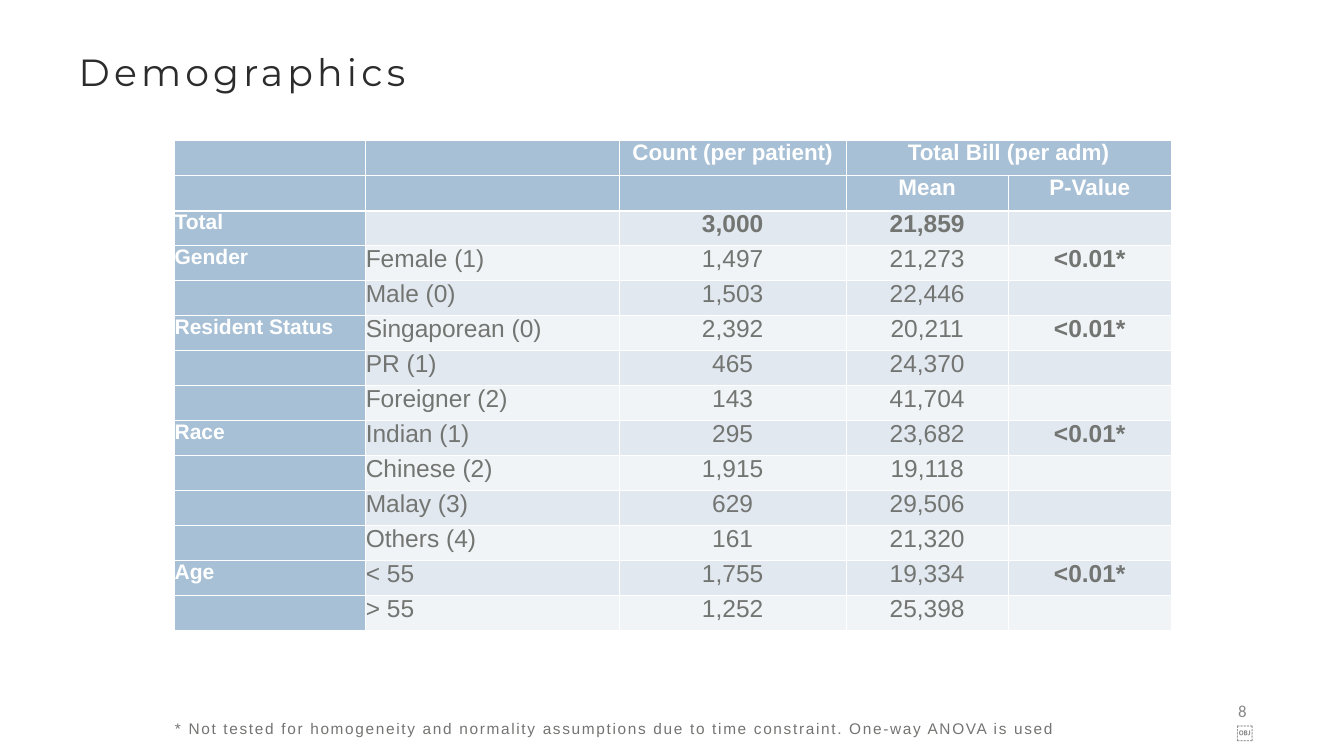
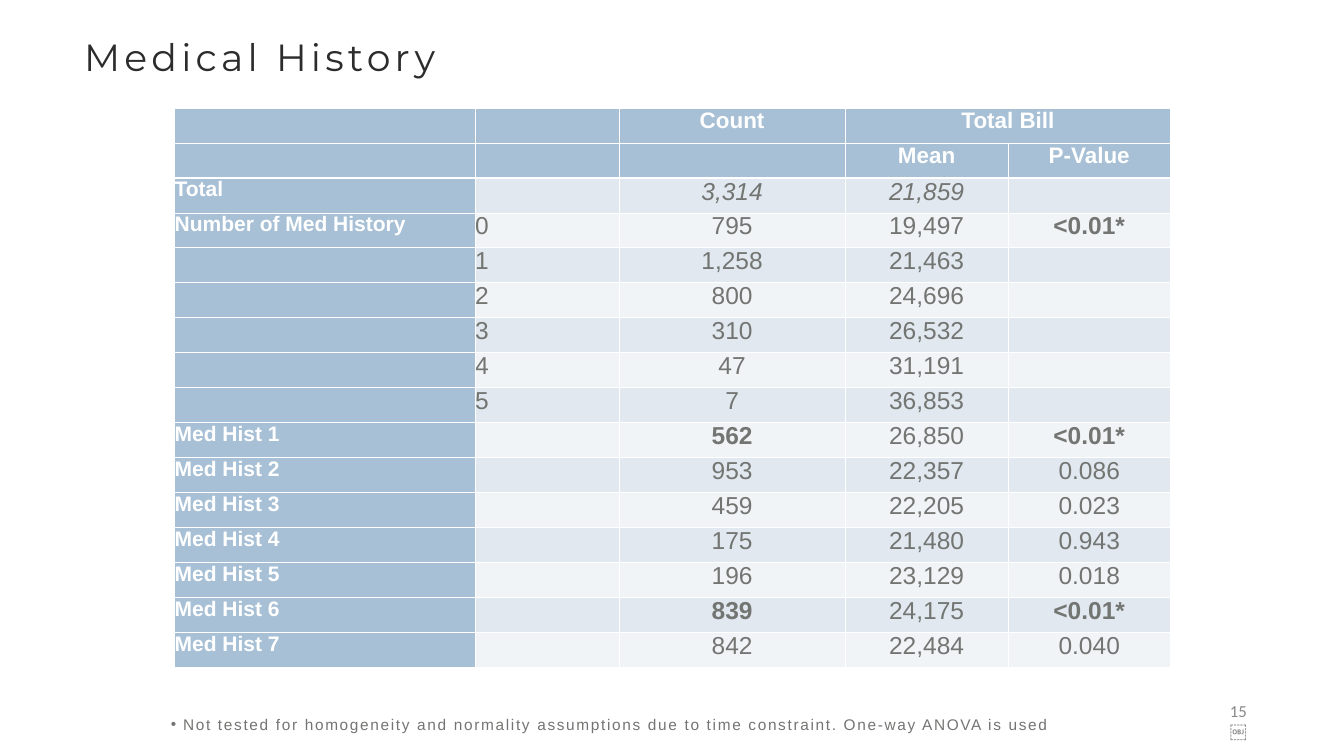
from lxml import etree
from pptx import Presentation
from pptx.dml.color import RGBColor
from pptx.enum.text import MSO_ANCHOR, MSO_AUTO_SIZE, PP_ALIGN
from pptx.oxml.ns import qn
from pptx.util import Pt

LEFT, MID, RIGHT = PP_ALIGN.LEFT, PP_ALIGN.CENTER, PP_ALIGN.RIGHT
TOP, CENTRE = MSO_ANCHOR.TOP, MSO_ANCHOR.MIDDLE
FIXED = MSO_AUTO_SIZE.NONE

# Colours
WHITE = RGBColor(0xFF, 0xFF, 0xFF)
INK = RGBColor(0x2B, 0x2C, 0x2B)
GREY = RGBColor(0x73, 0x75, 0x72)
PALE = RGBColor(0x88, 0x88, 0x88)
BLUE = RGBColor(0xA7, 0xC0, 0xD5)
BANDS = RGBColor(0xE1, 0xE8, 0xEF), RGBColor(0xF0, 0xF4, 0xF7)

# Shared table layout
TABLE_X = 249.3
ROW_H = 50
HEADS = 2
DATA_W = [323.3, 232, 232.5]
NOTE = ("Not tested for homogeneity and normality assumptions due to time "
        "constraint. One-way ANOVA is used")

PEOPLE = [
    ("", "", "Count (per patient)", "Total Bill (per adm)", ""),
    ("", "", "", "Mean", "P-Value"),
    ("Total", "", "3,000", "21,859", ""),
    ("Gender", "Female (1)", "1,497", "21,273", "<0.01*"),
    ("", "Male (0)", "1,503", "22,446", ""),
    ("Resident Status", "Singaporean (0)", "2,392", "20,211", "<0.01*"),
    ("", "PR (1)", "465", "24,370", ""),
    ("", "Foreigner (2)", "143", "41,704", ""),
    ("Race", "Indian (1)", "295", "23,682", "<0.01*"),
    ("", "Chinese (2)", "1,915", "19,118", ""),
    ("", "Malay (3)", "629", "29,506", ""),
    ("", "Others (4)", "161", "21,320", ""),
    ("Age", "< 55", "1,755", "19,334", "<0.01*"),
    ("", "> 55", "1,252", "25,398", ""),
]
HISTORY = [
    ("", "", "Count", "Total Bill", ""),
    ("", "", "", "Mean", "P-Value"),
    ("Total", "", "3,314", "21,859", ""),
    ("Number of Med History", "0", "795", "19,497", "<0.01*"),
    ("", "1", "1,258", "21,463", ""),
    ("", "2", "800", "24,696", ""),
    ("", "3", "310", "26,532", ""),
    ("", "4", "47", "31,191", ""),
    ("", "5", "7", "36,853", ""),
    ("Med Hist 1", "", "562", "26,850", "<0.01*"),
    ("Med Hist 2", "", "953", "22,357", "0.086"),
    ("Med Hist 3", "", "459", "22,205", "0.023"),
    ("Med Hist 4", "", "175", "21,480", "0.943"),
    ("Med Hist 5", "", "196", "23,129", "0.018"),
    ("Med Hist 6", "", "839", "24,175", "<0.01*"),
    ("Med Hist 7", "", "842", "22,484", "0.040"),
]


def add_run(para, text, size, face, color, bold=False, ital=False, gap=0):
    run = para.add_run()
    run.text = text
    font = run.font
    font.size, font.name, font.bold, font.italic = Pt(size), face, bold, ital
    font.color.rgb = color
    if gap:
        run._r.get_or_add_rPr().set("spc", str(round(gap * 100)))


def set_frame(shape, box, pad, anchor=TOP, align=LEFT):
    """Place a text shape and return its first paragraph."""
    shape.left, shape.top, shape.width, shape.height = map(Pt, box)
    frame = shape.text_frame
    frame.word_wrap = True
    frame.auto_size = FIXED
    frame.vertical_anchor = anchor
    frame.margin_left = frame.margin_right = Pt(pad)
    frame.margin_top = frame.margin_bottom = Pt(pad)
    para = frame.paragraphs[0]
    para.alignment = align
    return para


def add_title(slide, text, x, y):
    para = set_frame(slide.shapes.title, (x, y, 539.3, 180.7), 3.6)
    add_run(para, text, 54, "Montserrat", INK, gap=6)


def add_note(slide, text, x, y, width, dot=False):
    para = set_frame(slide.placeholders[1], (x, y, width, 43.9), 3.6)
    props = para._p.get_or_add_pPr()
    hang = 17.3 if dot else 0
    props.set("marL", str(Pt(hang)))
    props.set("indent", str(Pt(-hang)))
    if dot:
        etree.SubElement(props, qn("a:buChar")).set("char", "•")
    else:
        etree.SubElement(props, qn("a:buNone"))
    para.line_spacing = Pt(40)
    para.space_before = Pt(0)
    add_run(para, text, 22, "Arial", GREY, gap=2.4)


def add_page(slide, text, x, y, width):
    box = (x, y, width, 43.2)
    shape = slide.shapes.add_textbox(*map(Pt, box))
    para = set_frame(shape, box, 7.2, CENTRE, RIGHT)
    add_run(para, text, 24, "Calibri", PALE)


def set_edges(cell, row):
    """White rules, thicker between the heads and the data."""
    props = cell._tc.get_or_add_tcPr()
    thick = {"T": row == HEADS, "B": row == HEADS - 1}
    for side in "LRTB":
        line = etree.SubElement(props, qn("a:ln" + side))
        line.set("w", str(Pt(3 if thick.get(side) else 1)))
        fill = etree.SubElement(line, qn("a:solidFill"))
        etree.SubElement(fill, qn("a:srgbClr")).set("val", str(WHITE))


def fill_cell(cell, row, col, text, bold, ital):
    head, stub = row < HEADS, col == 0
    label = head or stub
    cell.margin_left = cell.margin_right = 0
    cell.margin_top = cell.margin_bottom = 0
    cell.vertical_anchor = TOP
    set_edges(cell, row)
    cell.fill.solid()
    cell.fill.fore_color.rgb = BLUE if label else BANDS[row % 2]
    if text:
        para = cell.text_frame.paragraphs[0]
        para.alignment = MID if col > 1 else LEFT
        size = 32 if head else 30 if stub else 35
        add_run(para, text, size, "Arial", WHITE if label else GREY,
                label or text in bold, text in ital)


def add_grid(slide, y, rows, names, bold, ital=()):
    """Build the table; names holds the widths of the two label columns."""
    widths = names + DATA_W
    frame = slide.shapes.add_table(len(rows), len(widths), Pt(TABLE_X), Pt(y),
                                   Pt(sum(widths)), Pt(ROW_H * len(rows)))
    table = frame.table
    table.first_row = table.horz_banding = False
    for column, width in zip(table.columns, widths):
        column.width = Pt(width)
    for r, row in enumerate(rows):
        table.rows[r].height = Pt(ROW_H)
        for c, text in enumerate(row):
            fill_cell(table.cell(r, c), r, c, text, bold, ital)
    table.cell(0, 3).merge(table.cell(0, 4))


def main():
    deck = Presentation()
    deck.slide_width, deck.slide_height = Pt(1918.8), Pt(1080)
    layout = deck.slide_layouts[1]

    # Demographics
    slide = deck.slides.add_slide(layout)
    add_title(slide, "Demographics", 108.7, 66.2)
    add_grid(slide, 200.9, PEOPLE, [272.9, 362.2],
             {"3,000", "21,859", "<0.01*"})
    add_note(slide, "* " + NOTE, 246.2, 1010.2, 1390.3)
    add_page(slide, "8￼", 1758.2, 1008.7, 28.8)

    # Medical history
    slide = deck.slides.add_slide(layout)
    add_title(slide, "Medical History", 116.6, 43.9)
    add_grid(slide, 154.1, HISTORY, [429.1, 205.2],
             {"562", "839", "<0.01*"}, {"3,314", "21,859"})
    add_note(slide, NOTE, 240.5, 1004.4, 1630, dot=True)
    add_page(slide, "15￼", 1745.3, 1008, 41.8)

    deck.save("out.pptx")


if __name__ == "__main__":
    main()
